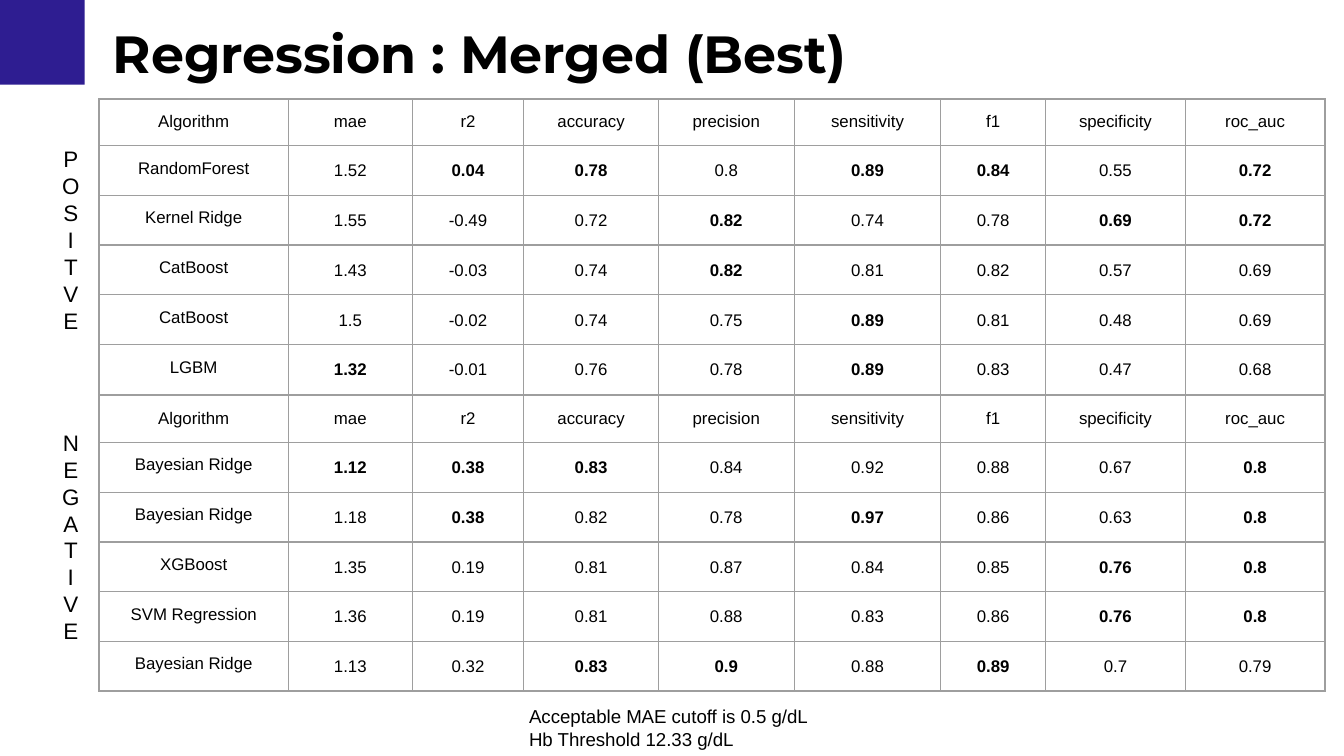
"""Build the slide of regression scores for the merged data set."""
import pptx
import pptx.dml.color
import pptx.enum.shapes
import pptx.enum.text
import pptx.oxml
import pptx.oxml.ns
import pptx.util

Cm = pptx.util.Cm
RGBColor = pptx.dml.color.RGBColor
Align = pptx.enum.text.PP_ALIGN

INDIGO = RGBColor(0x2E, 0x1D, 0x91)
BLACK = RGBColor(0, 0, 0)
GREY = RGBColor(0x9E, 0x9E, 0x9E)

HEADER = "Algorithm|mae|r2|accuracy|precision|sensitivity|f1|specificity|roc_auc"
WIDTHS = [3.58, 2.34, 2.11, 2.54, 2.57, 2.77, 1.98, 2.64, 2.64]
ROW_HEIGHT = 0.74
BOLD_MARK = "*"

POSITIVE_SCORES = [
    "RandomForest|1.52|0.04*|0.78*|0.8|0.89*|0.84*|0.55|0.72*",
    "Kernel Ridge|1.55|-0.49|0.72|0.82*|0.74|0.78|0.69*|0.72*",
    "CatBoost|1.43|-0.03|0.74|0.82*|0.81|0.82|0.57|0.69",
    "CatBoost|1.5|-0.02|0.74|0.75|0.89*|0.81|0.48|0.69",
    "LGBM|1.32*|-0.01|0.76|0.78|0.89*|0.83|0.47|0.68",
]
NEGATIVE_SCORES = [
    "Bayesian Ridge|1.12*|0.38*|0.83*|0.84|0.92|0.88|0.67|0.8*",
    "Bayesian Ridge|1.18|0.38*|0.82|0.78|0.97*|0.86|0.63|0.8*",
    "XGBoost|1.35|0.19|0.81|0.87|0.84|0.85|0.76*|0.8*",
    "SVM Regression|1.36|0.19|0.81|0.88|0.83|0.86|0.76*|0.8*",
    "Bayesian Ridge|1.13|0.32|0.83*|0.9*|0.88|0.89*|0.7|0.79",
]


class ScoreSlide:
    """Holds the style and the current slide, with one method per kind of element."""

    inset = Cm(0.25)
    margins = dict.fromkeys(
        ["margin_left", "margin_top", "margin_right", "margin_bottom"], inset)
    frame_format = {
        **margins,
        "word_wrap": True,
        "auto_size": pptx.enum.text.MSO_AUTO_SIZE.SHAPE_TO_FIT_TEXT,
        "vertical_anchor": pptx.enum.text.MSO_ANCHOR.TOP,
    }

    def __init__(self, deck):
        self.slide = deck.slides.add_slide(deck.slide_layouts.get_by_name("Title Only"))

    def apply(self, target, values):
        for name, value in values.items():
            setattr(target, name, value)

    def add_span(self, para, text, size, font="Arial", bold=False, **para_format):
        self.apply(para, para_format)
        span = para.add_run()
        span.text = text
        self.apply(span.font, {"size": pptx.util.Pt(size), "name": font, "bold": bold})
        span.font.color.rgb = BLACK

    def title(self, text, left, top, width, height):
        box = self.slide.shapes.title
        place = {"left": left, "top": top, "width": width, "height": height}
        self.apply(box, {name: Cm(value) for name, value in place.items()})
        self.apply(box.text_frame, self.frame_format)
        self.add_span(box.text_frame.paragraphs[0], text, 28, "Montserrat", True,
                      alignment=Align.LEFT)

    def block(self, left, top, width, height):
        box = self.slide.shapes.add_shape(
            pptx.enum.shapes.MSO_SHAPE.RECTANGLE, Cm(left), Cm(top), Cm(width), Cm(height))
        box.shadow.inherit = False
        box.fill.solid()
        box.fill.fore_color.rgb = INDIGO
        box.line.fill.background()

    def text(self, lines, left, top, width, height, size, alignment=Align.LEFT):
        box = self.slide.shapes.add_textbox(Cm(left), Cm(top), Cm(width), Cm(height))
        frame = box.text_frame
        self.apply(frame, self.frame_format)
        for index, line in enumerate(lines):
            para = frame.add_paragraph() if index else frame.paragraphs[0]
            self.add_span(para, line, size, alignment=alignment)

    def border(self, cell):
        properties = cell._tc.get_or_add_tcPr()
        for side in "LRTB":
            properties.append(pptx.oxml.parse_xml(
                f'<a:ln{side} {pptx.oxml.ns.nsdecls("a")} w="{pptx.util.Pt(0.75)}">'
                f'<a:solidFill><a:srgbClr val="{GREY}"/></a:solidFill></a:ln{side}>'))

    def table(self, scores, left, top):
        rows = [line.split("|") for line in [HEADER, *scores]]
        table = self.slide.shapes.add_table(
            len(rows), len(WIDTHS), Cm(left), Cm(top),
            Cm(sum(WIDTHS)), Cm(ROW_HEIGHT * len(rows))).table
        self.apply(table, {"first_row": False, "horz_banding": False})
        for column, width in zip(table.columns, WIDTHS):
            column.width = Cm(width)
        for row_index, row in enumerate(rows):
            for column_index, text in enumerate(row):
                cell = table.cell(row_index, column_index)
                self.apply(cell, self.margins)
                self.border(cell)
                cell.fill.background()
                is_score = row_index > 0 and column_index > 0
                self.add_span(cell.text_frame.paragraphs[0], text.rstrip(BOLD_MARK), 9,
                              bold=text.endswith(BOLD_MARK), alignment=Align.CENTER,
                              line_spacing=1.15 if is_score else 1.0)


def main():
    deck = pptx.Presentation()
    deck.slide_width, deck.slide_height = Cm(25.4), Cm(14.29)
    page = ScoreSlide(deck)
    page.block(0, 0, 1.6, 1.6)
    page.title("Regression : Merged (Best)", 1.88, 0.15, 21.44, 1.7)
    page.table(POSITIVE_SCORES, 1.87, 1.87)
    page.table(NEGATIVE_SCORES, 1.87, 7.48)
    page.text("POSITVE", 0.84, 2.5, 1, 4.12, 12, Align.CENTER)
    page.text("NEGATIVE", 0.84, 7.86, 1, 4.62, 12, Align.CENTER)
    page.text(["Acceptable MAE cutoff is 0.5 g/dL", "Hb Threshold 12.33 g/dL"],
              9.75, 13.08, 5.89, 1.37, 10)
    deck.save("out.pptx")


if __name__ == "__main__":
    main()
